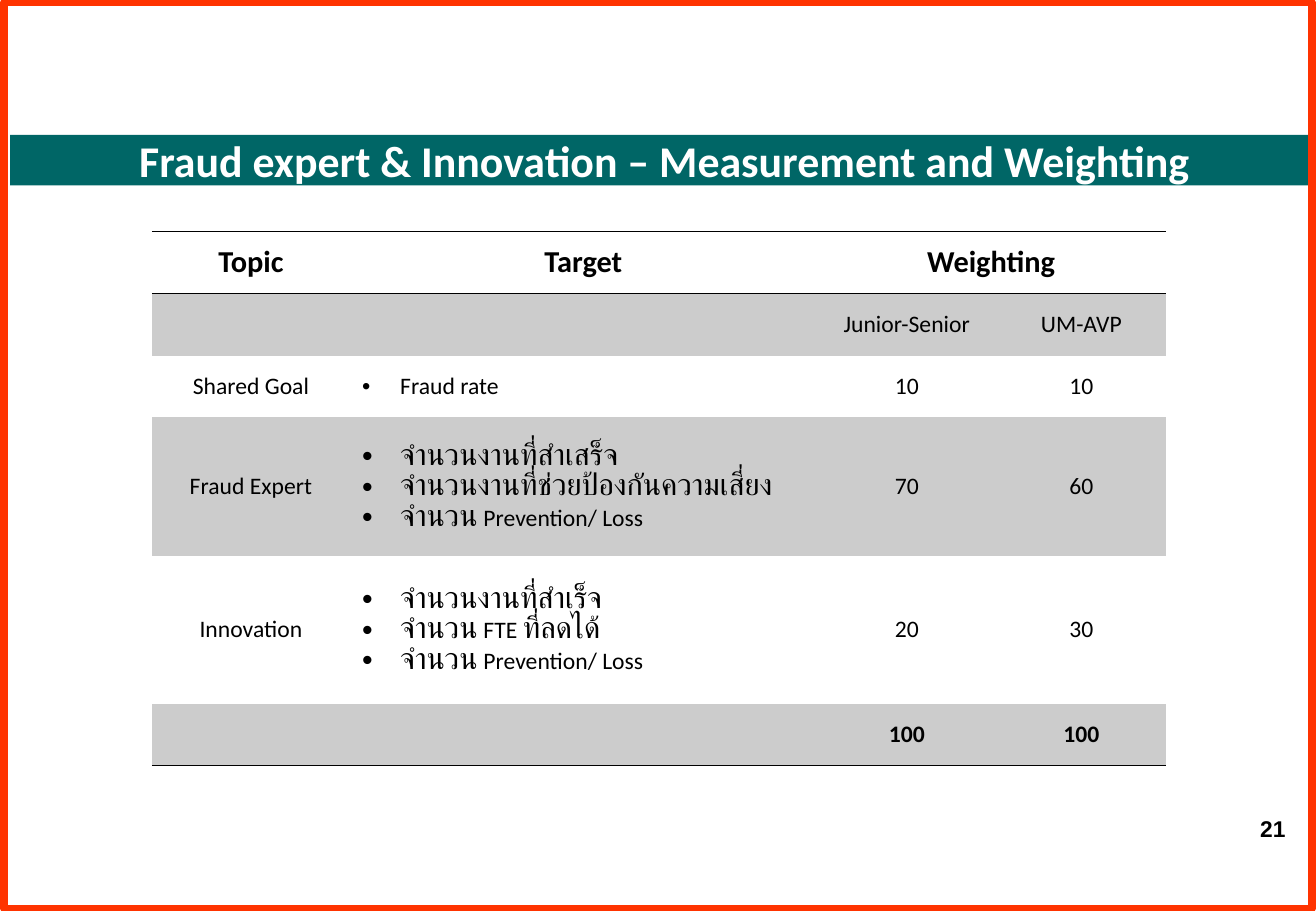
from lxml.etree import SubElement
from pptx import Presentation
from pptx.dml.color import RGBColor
from pptx.enum.shapes import MSO_SHAPE as Shape
from pptx.enum.text import MSO_ANCHOR as Anchor, MSO_AUTO_SIZE as AutoSize, PP_ALIGN as Align
from pptx.oxml.ns import qn
from pptx.util import Pt

NO_GRID_STYLE = "{2D5ABB26-0587-4C30-8999-92F81FD0307C}"
THAI = dict(size=18, font="Roboto")
THAI_SPACE = dict(size=14, font="Roboto")
LATIN = dict(size=14, font="Calibri")

COLUMN_WIDTHS = [117.5, 276.5, 107, 100]
ROW_HEIGHTS = [36.75, 36.75, 36.75, 82, 87.75, 36.75]
ROWS = [
    ["Topic", "Target", "Weighting", ""],
    ["", "", "Junior-Senior", "UM-AVP"],
    ["Shared Goal", [[("Fraud rate", LATIN)]], "10", "10"],
    ["Fraud Expert", [
        [("จำนวนงานที่สำเสร็จ", THAI)],
        [("จำนวนงานที่ช่วยป้องกันความเสี่ยง", THAI)],
        [("จำนวน", THAI), (" ", THAI_SPACE), ("Prevention/ Loss", LATIN)],
    ], "70", "60"],
    ["Innovation", [
        [("จำนวนงานที่สำเร็จ", THAI)],
        [("จำนวน", THAI), (" FTE ", LATIN), ("ที่ลดได้", THAI)],
        [("จำนวน", THAI), (" Prevention/ Loss", LATIN)],
    ], "20", "30"],
    ["", "", "100", "100"],
]


def color(value):
    return RGBColor.from_string(value)


def write(paragraph, text, size=14, font="Calibri", fill="000000", bold=False, align=None):
    """Append a formatted run to the paragraph."""
    if align is not None:
        paragraph.alignment = align
    run = paragraph.add_run()
    run.text = text
    run.font.size = Pt(size)
    run.font.name = font
    run.font.bold = bold
    run.font.color.rgb = color(fill)


def add_rectangle(slide, left, top, width, height, fill=None, line=None):
    rectangle = slide.shapes.add_shape(Shape.RECTANGLE, Pt(left), Pt(top), Pt(width), Pt(height))
    rectangle.shadow.inherit = False
    if fill:
        rectangle.fill.solid()
        rectangle.fill.fore_color.rgb = color(fill)
    else:
        rectangle.fill.background()
    if line:
        rectangle.line.color.rgb = color(line)
        rectangle.line.width = Pt(4.5)
    else:
        rectangle.line.fill.background()
    return rectangle


def add_title(slide):
    band = add_rectangle(slide, 6, 80, 769.5, 30, fill="006666")
    title = slide.shapes.title
    title._element.addprevious(band._element)
    title.left, title.top, title.width, title.height = Pt(24), Pt(80), Pt(734.5), Pt(29.5)
    frame = title.text_frame
    frame.auto_size = AutoSize.NONE
    frame.vertical_anchor = Anchor.MIDDLE
    write(frame.paragraphs[0], " Fraud expert & Innovation – Measurement and Weighting",
          size=26, fill="FFFFFF", bold=True, align=Align.CENTER)


def add_page_number(slide):
    box = slide.shapes.add_textbox(Pt(738.75), Pt(479.5), Pt(30.25), Pt(23))
    box.text_frame.word_wrap = False
    write(box.text_frame.paragraphs[0], "21", size=13.5, font="Arial", bold=True, align=Align.RIGHT)


def add_bullet(paragraph):
    properties = paragraph._p.get_or_add_pPr()
    properties.set("marL", str(Pt(22.5)))
    properties.set("indent", str(-Pt(22.5)))
    SubElement(properties, qn("a:buFont"), typeface="Arial")
    SubElement(properties, qn("a:buChar"), char="•")


def rule_cell(cell, *sides):
    """Draw thin black borders; call before the cell is filled."""
    properties = cell._tc.get_or_add_tcPr()
    for side in sides:
        border = SubElement(properties, qn(f"a:{side}"), w=str(Pt(1)))
        SubElement(SubElement(border, qn("a:solidFill")), qn("a:srgbClr"), val="000000")


def fill_cell(cell, content, **text_format):
    """Write centred text, or a bullet list when content is a list."""
    cell.vertical_anchor = Anchor.MIDDLE
    frame = cell.text_frame
    if isinstance(content, list):
        for index, runs in enumerate(content):
            paragraph = frame.add_paragraph() if index else frame.paragraphs[0]
            add_bullet(paragraph)
            for text, run_format in runs:
                write(paragraph, text, **run_format)
    elif content:
        write(frame.paragraphs[0], content, align=Align.CENTER, **text_format)


def add_weighting_table(slide):
    graphic = slide.shapes.add_table(len(ROWS), len(COLUMN_WIDTHS), Pt(90), Pt(137.25),
                                     Pt(sum(COLUMN_WIDTHS)), Pt(sum(ROW_HEIGHTS)))
    table = graphic.table
    table.first_row = table.horz_banding = False
    table._tbl.tblPr.find(qn("a:tableStyleId")).text = NO_GRID_STYLE
    for column, width in zip(table.columns, COLUMN_WIDTHS):
        column.width = Pt(width)
    for row, height in zip(table.rows, ROW_HEIGHTS):
        row.height = Pt(height)
    table.cell(0, 2).merge(table.cell(0, 3))

    last = len(ROWS) - 1
    for r, contents in enumerate(ROWS):
        for c, content in enumerate(contents):
            cell = table.cell(r, c)
            if r == 0:
                rule_cell(cell, "lnT", "lnB")
            elif r == last:
                rule_cell(cell, "lnB")
            if r % 2:
                cell.fill.solid()
                cell.fill.fore_color.rgb = color("CCCCCC")
            else:
                cell.fill.background()
            fill_cell(cell, content, size=14 if r else 18, bold=r in (0, last))


def main():
    presentation = Presentation()
    presentation.slide_width, presentation.slide_height = Pt(780), Pt(540)
    slide = presentation.slides.add_slide(presentation.slide_layouts[5])
    add_page_number(slide)
    add_rectangle(slide, 2.25, 1.5, 775.5, 537, line="FF3300")
    add_title(slide)
    add_weighting_table(slide)
    presentation.save("out.pptx")


if __name__ == "__main__":
    main()
